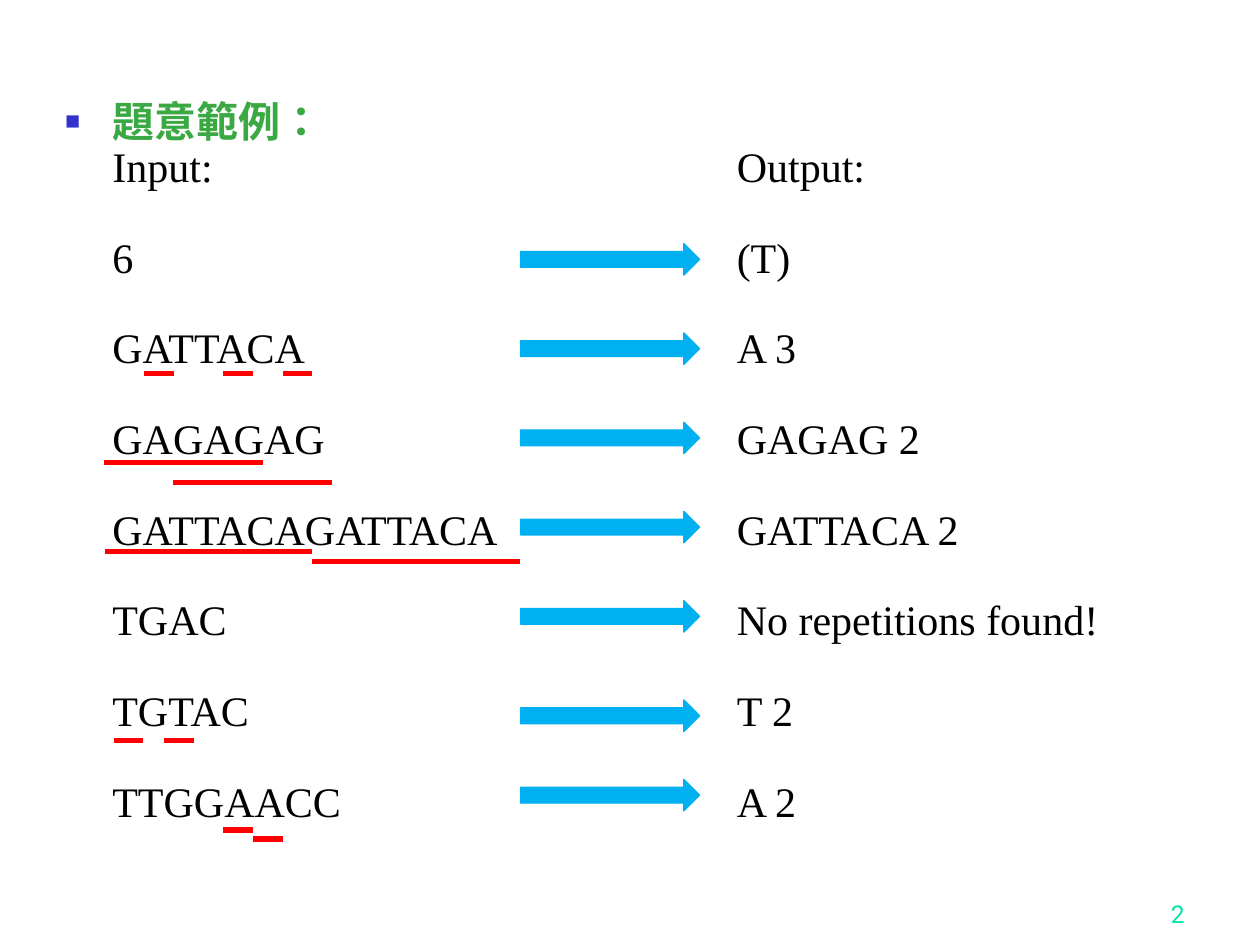
"""Build the slide of sample inputs and outputs."""
from dataclasses import dataclass

from lxml import etree
from pptx import Presentation
from pptx.dml.color import RGBColor
from pptx.enum import shapes, text
from pptx.oxml import ns
from pptx.util import Pt


@dataclass(frozen=True)
class Theme:
    """Colours, fonts and type sizes."""
    head: str = "3BA943"
    ink: str = "000000"
    dot: str = "3333CC"
    arrow: str = "00B0F0"
    mark: str = "FF0000"
    num: str = "00E4A8"
    serif: str = "Times New Roman"
    sans: str = "Roboto"
    big: float = 24
    small: float = 14
    lead: float = 25.8


T = Theme()
HEAD = "題意範例："
ROWS = [
    ("Input:", "Output:"),
    ("6", "(T)"),
    ("GATTACA", "A 3"),
    ("GAGAGAG", "GAGAG 2"),
    ("GATTACAGATTACA", "GATTACA 2"),
    ("TGAC", "No repetitions found!"),
    ("TGTAC", "T 2"),
    ("TTGGAACC", "A 2"),
]
TOPS = [139.2 + 51 * i for i in range(5)] + [400, 445.4]
MARKS = [
    (82.2, 213.3, 17), (127.5, 213.3, 17), (161.5, 213.3, 17),
    (59.5, 264.2, 91), (99, 275.8, 91),
    (60, 315.3, 118.5), (178.5, 321, 118.5),
    (65, 423.3, 17), (94, 423.3, 17),
    (127.5, 474.3, 17), (144.5, 479.5, 17),
]


def add(node, tag, **attrs):
    """Append a drawing element and return it."""
    item = etree.SubElement(node, ns.qn(tag))
    for key, val in attrs.items():
        item.set(key, val)
    return item


def write(para, words, size=T.big, color=T.ink, face=T.serif, bold=False,
          align=None, lang="en-US"):
    """Write formatted words into a paragraph."""
    para.alignment = align
    run = para.add_run()
    run.text = words
    run._r.get_or_add_rPr().set("lang", lang)
    font = run.font
    font.size, font.name, font.bold = Pt(size), face, bold
    font.color.rgb = RGBColor.from_string(color)


def setup(para, gap=0, left=0, dot=False):
    """Set the indent, bullet and spacing of a paragraph."""
    props = para._p.get_or_add_pPr()
    props.set("marL", str(Pt(left)))
    props.set("indent", str(Pt(-left if dot else 0)))
    if dot:
        add(add(props, "a:buClr"), "a:srgbClr", val=T.dot)
        add(props, "a:buSzPct", val="60000")
        add(props, "a:buChar", char="■")
    else:
        add(props, "a:buNone")
    para.line_spacing, para.space_before = Pt(T.lead), Pt(gap)


def column(shape, box, rows, left=0, head=None):
    """Fill a placeholder with a column of rows under an optional heading."""
    shape.left, shape.top, shape.width, shape.height = map(Pt, box)
    frame = shape.text_frame
    frame.auto_size = text.MSO_AUTO_SIZE.NONE
    frame.vertical_anchor = text.MSO_ANCHOR.TOP
    para = frame.paragraphs[0]
    if head:
        setup(para, left=left, dot=True)
        write(para, head, color=T.head, bold=True, lang="zh-TW")
        para = frame.add_paragraph()
    for i, row in enumerate(rows):
        if i:
            para = frame.add_paragraph()
        setup(para, gap=26 if i else 0, left=left)
        write(para, row)


def arrow(slide, box):
    """Draw one arrow from input to output."""
    shape = slide.shapes.add_shape(shapes.MSO_SHAPE.RIGHT_ARROW, *map(Pt, box))
    shape.shadow.inherit = False
    shape.fill.solid()
    shape.fill.fore_color.rgb = RGBColor.from_string(T.arrow)
    shape.line.color.rgb = RGBColor.from_string(T.arrow)
    shape.line.width = Pt(0.75)


def mark(slide, x, y, wide):
    """Underline one repeated part."""
    line = slide.shapes.add_connector(
        shapes.MSO_CONNECTOR.STRAIGHT, Pt(x), Pt(y), Pt(x + wide), Pt(y))
    line.line.color.rgb = RGBColor.from_string(T.mark)
    line.line.width = Pt(3)
    add(line._element.spPr, "a:effectLst")


def number(slide, box):
    """Add the page number at the foot."""
    frame = slide.shapes.add_textbox(*map(Pt, box)).text_frame
    frame.word_wrap = True
    frame.vertical_anchor = text.MSO_ANCHOR.BOTTOM
    write(frame.paragraphs[0], "2", size=T.small, color=T.num, face=T.sans,
          align=text.PP_ALIGN.RIGHT)


def main():
    """Build and save the deck."""
    deck = Presentation()
    deck.slide_width, deck.slide_height = Pt(720), Pt(540)
    slide = deck.slides.add_slide(deck.slide_layouts[3])
    title = slide.shapes.title._element
    title.getparent().remove(title)
    number(slide, (534, 498, 150, 36))
    ins, outs = zip(*ROWS)
    column(slide.placeholders[1], (30, 54, 290, 443), ins, left=27, head=HEAD)
    column(slide.placeholders[2], (413.8, 54 + T.lead, 252, 417), outs)
    for top in TOPS:
        arrow(slide, (297.5, top, 102.3, 18))
    for spot in MARKS:
        mark(slide, *spot)
    deck.save("out.pptx")


if __name__ == "__main__":
    main()
